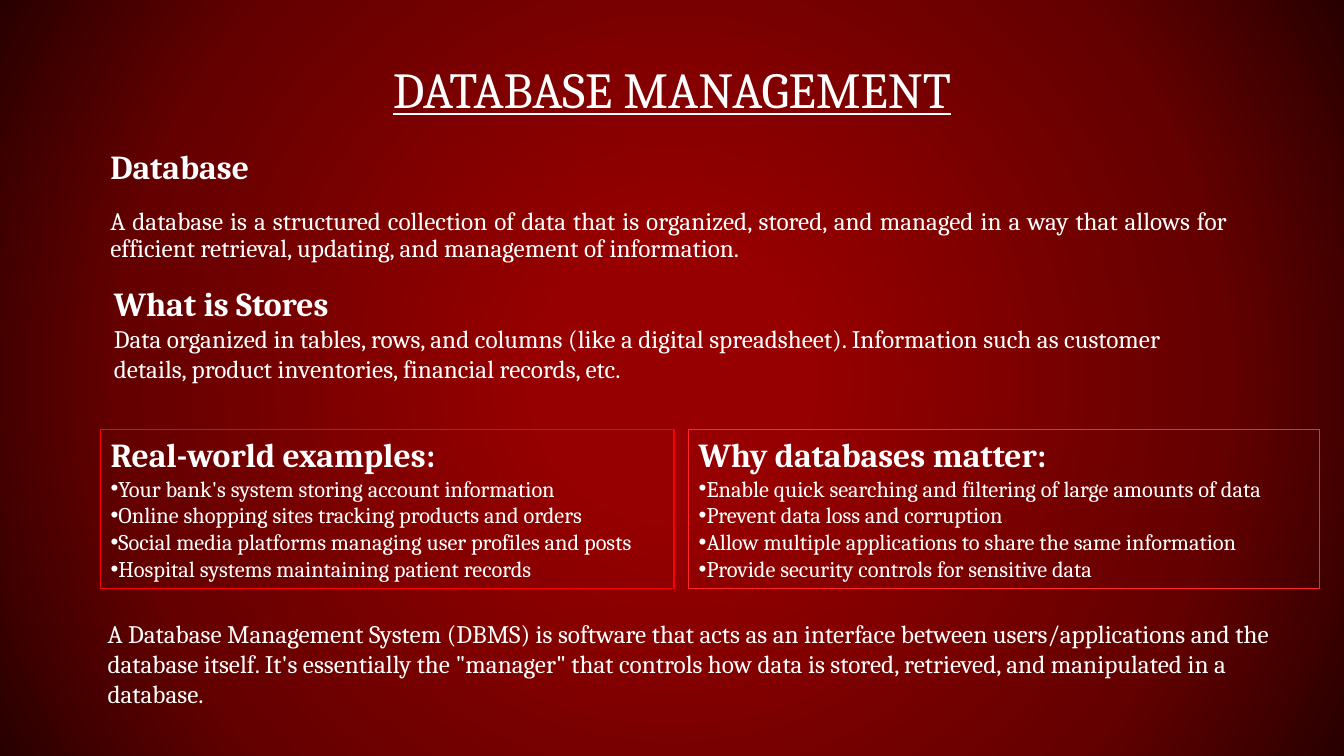
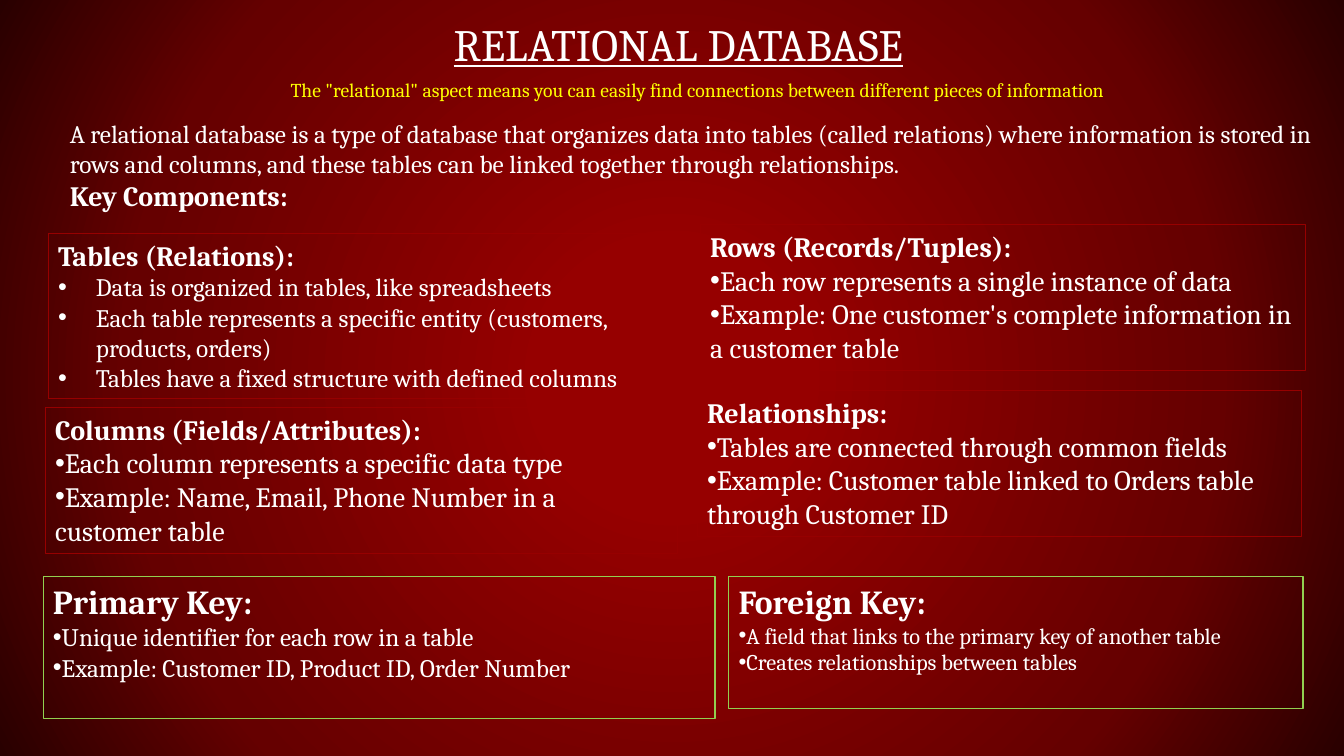
from dataclasses import dataclass
from typing import Optional

from lxml import etree
from pptx import Presentation
from pptx.dml.color import RGBColor
from pptx.enum.shapes import MSO_SHAPE as SHAPE
from pptx.enum.text import MSO_ANCHOR as ANCHOR, PP_ALIGN as ALIGN
from pptx.oxml.ns import qn
from pptx.util import Emu, Pt

EMU_PER_PX = 9525
SLIDE_W, SLIDE_H = 1280, 720
FONT = "Cambria"
HANGING_INDENT = 36
WIDE_INSETS = (12, 7)

WHITE = RGBColor(0xFF, 0xFF, 0xFF)
YELLOW = RGBColor(0xFF, 0xFF, 0x00)
RED = RGBColor(0xFF, 0x00, 0x00)
LIGHT_RED = RGBColor(0xFF, 0x27, 0x27)
DARK_RED = RGBColor(0x96, 0x00, 0x00)
GREEN = RGBColor(0x92, 0xD0, 0x50)
BACKGROUND_STOPS = (
    (17, DARK_RED),
    (71, RGBColor(0x65, 0x00, 0x00)),
    (100, RGBColor(0x29, 0x00, 0x00)),
)


@dataclass(frozen=True)
class Para:
    text: str
    size: int = 18
    bold: bool = False
    underline: bool = False
    color: RGBColor = WHITE
    align: ALIGN = ALIGN.LEFT
    spacing: Optional[float] = None
    before: int = 0
    bullet: bool = False
    indent: int = 0


@dataclass(frozen=True)
class Area:
    left: int
    top: int
    width: int
    height: int


@dataclass(frozen=True)
class Panel:
    area: Area
    border: RGBColor
    heading: str
    items: tuple[str, ...]
    heading_size: int = 20
    item_size: int = 20
    indent: int = 0


def px(n: int) -> Emu:
    return Emu(n * EMU_PER_PX)


def box_of(area: Area) -> tuple[Emu, Emu, Emu, Emu]:
    return px(area.left), px(area.top), px(area.width), px(area.height)


def set_background(master) -> None:
    """Give every slide the same radial gradient."""
    master.background.fill.gradient()
    grad = master.element.find(".//" + qn("a:gradFill"))
    for child in list(grad):
        grad.remove(child)
    stops = etree.SubElement(grad, qn("a:gsLst"))
    for percent, color in BACKGROUND_STOPS:
        stop = etree.SubElement(stops, qn("a:gs"), pos=str(percent * 1000))
        etree.SubElement(stop, qn("a:srgbClr"), val=str(color))
    path = etree.SubElement(grad, qn("a:path"), path="circle")
    etree.SubElement(path, qn("a:fillToRect"),
                     {side: "50000" for side in "ltrb"})


def add_bullet(p, indent: int) -> None:
    pPr = p._p.get_or_add_pPr()
    pPr.set("marL", str(px(indent)))
    pPr.set("indent", str(-px(indent)))
    etree.SubElement(pPr, qn("a:buFont"), typeface="Arial")
    etree.SubElement(pPr, qn("a:buChar"), char="•")


def write(tf, paras: list[Para]) -> None:
    tf.word_wrap = True
    for i, para in enumerate(paras):
        p = tf.add_paragraph() if i else tf.paragraphs[0]
        p.text = para.text
        if para.bullet:
            add_bullet(p, para.indent)
        p.alignment = para.align
        if para.spacing:
            p.line_spacing = para.spacing
        if para.before:
            p.space_before = Pt(para.before)
        font = p.runs[0].font
        font.name = FONT
        font.size = Pt(para.size)
        font.bold = para.bold
        font.underline = para.underline
        font.color.rgb = para.color


def add_text(slide, area: Area, *paras: Para,
             insets: Optional[tuple[int, int]] = None,
             anchor: ANCHOR = ANCHOR.TOP) -> None:
    tf = slide.shapes.add_textbox(*box_of(area)).text_frame
    tf.vertical_anchor = anchor
    if insets:
        tf.margin_left = tf.margin_right = px(insets[0])
        tf.margin_top = tf.margin_bottom = px(insets[1])
    write(tf, list(paras))


def add_title(slide, left: int, top: int, text: str, size: int) -> None:
    title = Para(text, size, underline=True, align=ALIGN.CENTER, spacing=0.8)
    add_text(slide, Area(left, top, 1088, 69), title,
             insets=WIDE_INSETS, anchor=ANCHOR.BOTTOM)


def add_panel(slide, panel: Panel) -> None:
    sp = slide.shapes.add_shape(SHAPE.RECTANGLE, *box_of(panel.area))
    sp.shadow.inherit = False
    sp.fill.background()
    sp.line.color.rgb = panel.border
    sp.line.width = Pt(0.75)
    sp.text_frame.vertical_anchor = ANCHOR.TOP
    items = [Para(item, panel.item_size, bullet=True, indent=panel.indent)
             for item in panel.items]
    write(sp.text_frame,
          [Para(panel.heading, panel.heading_size, bold=True), *items])


MANAGEMENT_PANELS = (
    Panel(Area(96, 409, 546, 152), RED, "Real-world examples:", (
        "Your bank's system storing account information",
        "Online shopping sites tracking products and orders",
        "Social media platforms managing user profiles and posts",
        "Hospital systems maintaining patient records",
    ), 24, 16),
    Panel(Area(656, 409, 601, 152), LIGHT_RED, "Why databases matter:", (
        "Enable quick searching and filtering of large amounts of data",
        "Prevent data loss and corruption",
        "Allow multiple applications to share the same information",
        "Provide security controls for sensitive data",
    ), 24, 16),
)

RELATIONAL_PANELS = (
    Panel(Area(667, 214, 576, 139), DARK_RED, "Rows (Records/Tuples):", (
        "Each row represents a single instance of data",
        "Example: One customer's complete information in a customer table",
    )),
    Panel(Area(46, 222, 602, 158), DARK_RED, "Tables (Relations):", (
        "Data is organized in tables, like spreadsheets",
        "Each table represents a specific entity (customers, products, orders)",
        "Tables have a fixed structure with defined columns",
    ), item_size=18, indent=HANGING_INDENT),
    Panel(Area(43, 388, 602, 139), DARK_RED, "Columns (Fields/Attributes):", (
        "Each column represents a specific data type",
        "Example: Name, Email, Phone Number in a customer table",
    )),
    Panel(Area(664, 372, 576, 139), DARK_RED, "Relationships:", (
        "Tables are connected through common fields",
        "Example: Customer table linked to Orders table through Customer ID",
    )),
    Panel(Area(41, 549, 640, 135), GREEN, "Primary Key:", (
        "Unique identifier for each row in a table",
        "Example: Customer ID, Product ID, Order Number",
    ), 24, 18),
    Panel(Area(694, 549, 547, 126), GREEN, "Foreign Key:", (
        "A field that links to the primary key of another table",
        "Creates relationships between tables",
    ), 24, 16),
)


def build_management(slide) -> None:
    add_title(slide, 96, 51, "DATABASE MANAGEMENT", 36)
    add_text(
        slide, Area(93, 136, 1088, 144),
        Para("Database", 24, bold=True, spacing=0.9),
        Para("A database is a structured collection of data that is organized, "
             "stored, and managed in a way that allows for efficient retrieval, "
             "updating, and management of information.",
             align=ALIGN.JUSTIFY, spacing=0.9, before=16),
        insets=WIDE_INSETS)
    add_text(
        slide, Area(99, 265, 1072, 107),
        Para("What is Stores", 24, bold=True),
        Para("Data organized in tables, rows, and columns (like a digital "
             "spreadsheet). Information such as customer details, product "
             "inventories, financial records, etc."))
    for panel in MANAGEMENT_PANELS:
        add_panel(slide, panel)
    add_text(
        slide, Area(93, 584, 1164, 97),
        Para("A Database Management System (DBMS) is software that acts as an "
             "interface between users/applications and the database itself. "
             "It's essentially the \"manager\" that controls how data is stored, "
             "retrieved, and manipulated in a database."))


def build_relational(slide) -> None:
    add_title(slide, 102, 5, "RELATIONAL DATABASE", 32)
    add_text(
        slide, Area(57, 108, 1224, 100),
        Para("A relational database is a type of database that organizes data "
             "into tables (called relations) where information is stored in "
             "rows and columns, and these tables can be linked together through "
             "relationships."),
        Para("Key Components:", 20, bold=True))
    for panel in RELATIONAL_PANELS:
        add_panel(slide, panel)
    add_text(
        slide, Area(195, 69, 939, 33),
        Para("The \"relational\" aspect means you can easily find connections "
             "between different pieces of information",
             14, color=YELLOW, align=ALIGN.CENTER))


def main() -> None:
    prs = Presentation()
    prs.slide_width, prs.slide_height = px(SLIDE_W), px(SLIDE_H)
    set_background(prs.slide_master)
    blank = prs.slide_layouts[6]
    for build in (build_management, build_relational):
        build(prs.slides.add_slide(blank))
    prs.save("out.pptx")


if __name__ == "__main__":
    main()
